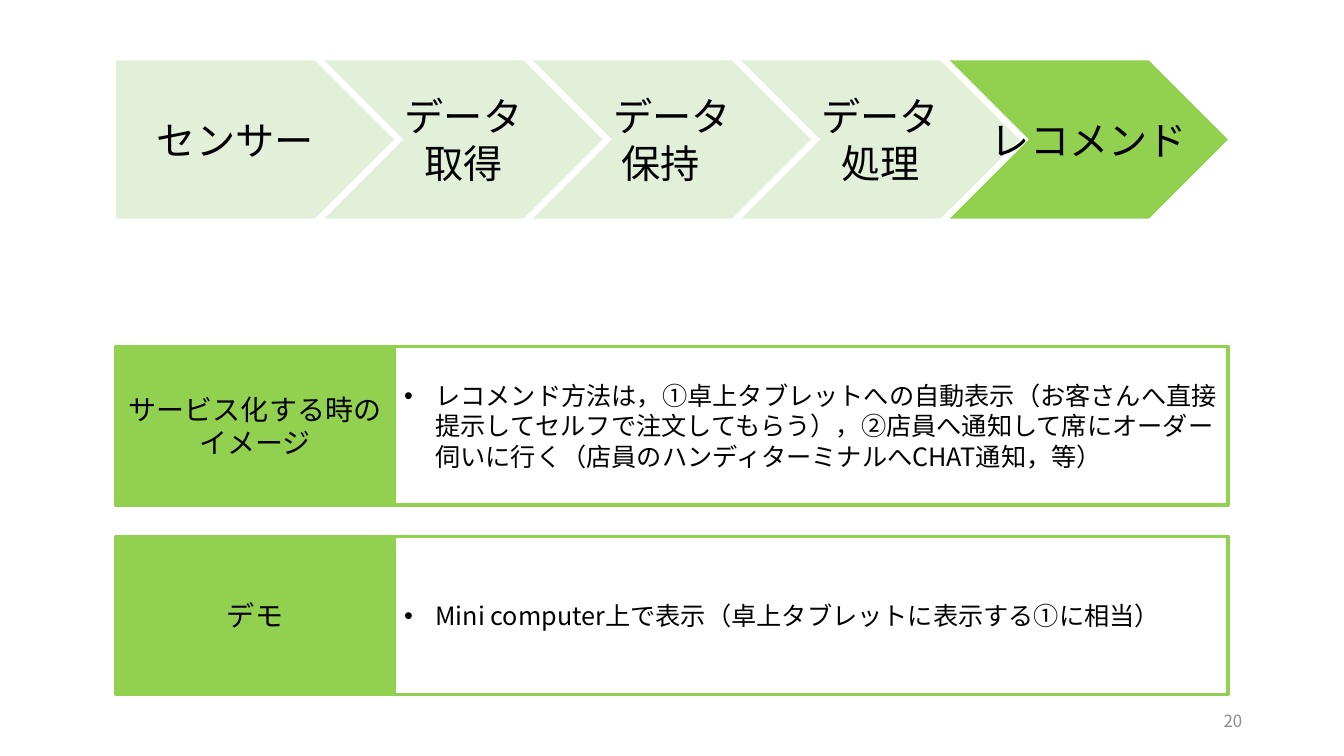
from lxml.etree import SubElement
from pptx import Presentation
from pptx.dml.color import RGBColor
from pptx.enum.shapes import MSO_SHAPE
from pptx.enum.text import MSO_ANCHOR, PP_ALIGN
from pptx.oxml.ns import qn
from pptx.util import Inches, Pt

FONT = "Noto Sans CJK JP"
GREEN, PALE_GREEN, BLACK, GRAY = "92D050", "E2F0D9", "000000", "8C8C8C"

LEFT, TOTAL_WIDTH = 1.15, 11.03
BLOCK_WIDTH, BLOCK_HEIGHT = 2.76, 1.57
STEP_TOP, ROW_TOP, ROW_PITCH = 0.6, 3.44, 1.88

STEPS = [["センサー"], ["データ", "取得"], ["データ", "保持\t"], ["データ", "処理"], ["レコメンド"]]
ROWS = [
    (["サービス化する時の", "イメージ"],
     "レコメンド方法は，①卓上タブレットへの自動表示（お客さんへ直接提示してセルフで注文してもらう），"
     "②店員へ通知して席にオーダー伺いに行く（店員のハンディターミナルへCHAT通知，等）"),
    (["デモ"], "Mini computer上で表示（卓上タブレットに表示する①に相当）"),
]


def color(value):
    return RGBColor.from_string(value)


def write_text(box, lines, size, align=PP_ALIGN.CENTER, ink=BLACK, wrap=True):
    frame = box.text_frame
    frame.word_wrap = wrap
    frame.vertical_anchor = MSO_ANCHOR.MIDDLE
    for index, line in enumerate(lines):
        para = frame.add_paragraph() if index else frame.paragraphs[0]
        para.alignment = align
        span = para.add_run()
        span.text = line
        for name, value in {"size": Pt(size), "name": FONT}.items():
            setattr(span.font, name, value)
        span.font.color.rgb = color(ink)
        SubElement(span.font._element, qn("a:ea"), typeface=FONT)


def add_bullet(para, indent):
    properties = para._p.get_or_add_pPr()
    properties.set("marL", str(Inches(indent)))
    properties.set("indent", str(-Inches(indent)))
    SubElement(properties, qn("a:buFont"), typeface="Arial")
    SubElement(properties, qn("a:buChar"), char="•")


def add_block(page, kind, left, top, width, fill=None, line=None):
    box = page.shapes.add_shape(
        kind, Inches(left), Inches(top), Inches(width), Inches(BLOCK_HEIGHT))
    box.shadow.inherit = False
    if fill:
        box.fill.solid()
        box.fill.fore_color.rgb = color(fill)
    else:
        box.fill.background()
    if line:
        box.line.color.rgb = color(line)
        box.line.width = Pt(2.25)
    else:
        box.line.fill.background()
    return box


def add_steps(page):
    last = len(STEPS) - 1
    pitch = (TOTAL_WIDTH - BLOCK_WIDTH) / last
    for index, lines in enumerate(STEPS):
        kind = MSO_SHAPE.CHEVRON if index else MSO_SHAPE.PENTAGON
        fill = GREEN if index == last else PALE_GREEN
        box = add_block(page, kind, LEFT + index * pitch, STEP_TOP, BLOCK_WIDTH, fill)
        write_text(box, lines, 28, wrap=index == 0)


def add_row(page, top, heading, detail):
    label = add_block(page, MSO_SHAPE.RECTANGLE, LEFT, top, BLOCK_WIDTH, GREEN, GREEN)
    write_text(label, heading, 20)
    body = add_block(page, MSO_SHAPE.RECTANGLE, LEFT + BLOCK_WIDTH, top,
                     TOTAL_WIDTH - BLOCK_WIDTH, line=GREEN)
    write_text(body, [detail], 18, PP_ALIGN.LEFT)
    add_bullet(body.text_frame.paragraphs[0], 0.31)


def add_page_number(page, number):
    box = page.shapes.add_textbox(Inches(9.42), Inches(6.95), Inches(3), Inches(0.4))
    write_text(box, [number], 12, PP_ALIGN.RIGHT, GRAY)


def main():
    deck = Presentation()
    deck.slide_width, deck.slide_height = Inches(13.33), Inches(7.5)
    page = deck.slides.add_slide(deck.slide_layouts[6])
    add_page_number(page, "20")
    add_steps(page)
    for index, (heading, detail) in enumerate(ROWS):
        add_row(page, ROW_TOP + index * ROW_PITCH, heading, detail)
    deck.save("out.pptx")


if __name__ == "__main__":
    main()
